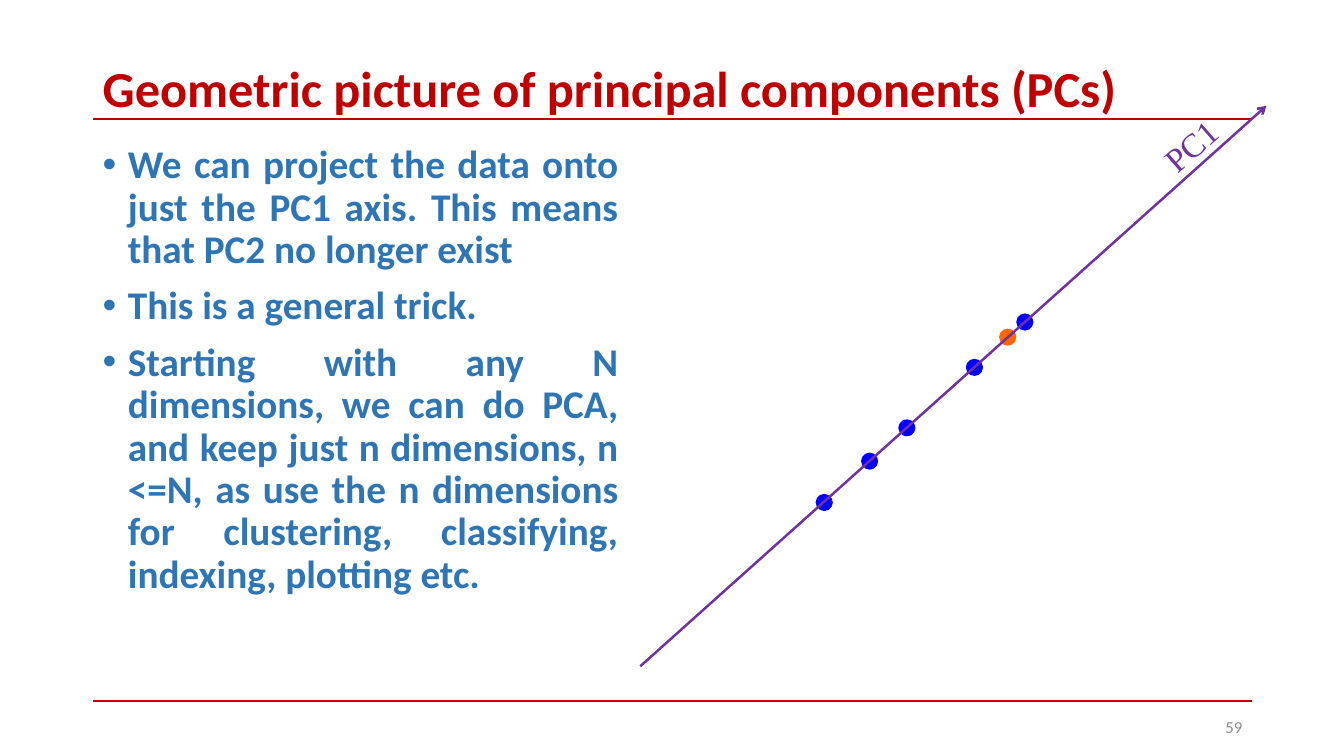
from lxml import etree
from pptx import Presentation
from pptx.dml.color import RGBColor
from pptx.enum import shapes, text
from pptx.oxml import ns
from pptx.util import Inches, Pt

RED, PURPLE, BLUE, ORANGE = "C00000", "7030A0", "0000FF", "FF6600"
BODY_BLUE, GREY = "2E75B6", "8C8C8C"
LEFT, RIGHT = 0.92, 12.42
DOT_SIZE = 0.17
PROJECTED_POINTS = [
    (9.58, 3.56, BLUE), (8.91, 4.16, BLUE), (8.54, 4.49, BLUE),
    (8.09, 4.9, BLUE), (9.91, 3.26, ORANGE), (10.08, 3.11, BLUE),
]
BULLETS = [
    "We can project the data onto just the PC1 axis. This means that PC2 no longer exist",
    "This is a general trick.",
    "Starting with any N dimensions, we can do PCA, and keep just n dimensions, "
    "n <=N, as use the n dimensions for clustering, classifying, indexing, plotting etc.",
]


def rgb(value):
    return RGBColor.from_string(value)


def add_line(slide, start, end, color, width, arrow=False):
    line = slide.shapes.add_connector(
        shapes.MSO_CONNECTOR.STRAIGHT, *map(Inches, start + end))
    line.line.color.rgb = rgb(color)
    line.line.width = Pt(width)
    if arrow:
        etree.SubElement(line.line._get_or_add_ln(), ns.qn("a:tailEnd"), type="arrow")
    etree.SubElement(line._element.spPr, ns.qn("a:effectLst"))


def add_dot(slide, left, top, color):
    dot = slide.shapes.add_shape(
        shapes.MSO_SHAPE.OVAL, *map(Inches, (left, top, DOT_SIZE, DOT_SIZE)))
    dot.shadow.inherit = False
    dot.fill.solid()
    dot.fill.fore_color.rgb = rgb(color)
    dot.line.fill.background()


def add_text(slide, box, lines, size, color, font="Calibri", bold=False,
             align=text.PP_ALIGN.LEFT, anchor=text.MSO_ANCHOR.MIDDLE,
             spacing=None, wrap=True):
    """Add a text box with one paragraph per line and return it."""
    text_box = slide.shapes.add_textbox(*map(Inches, box))
    frame = text_box.text_frame
    frame.word_wrap = wrap
    frame.vertical_anchor = anchor
    frame.text = "\n".join(lines)
    for paragraph in frame.paragraphs:
        paragraph.alignment = align
        paragraph.line_spacing = spacing
        paragraph.font.name = font
        paragraph.font.size = Pt(size)
        paragraph.font.bold = bold
        paragraph.font.color.rgb = rgb(color)
    return text_box


def add_bullets(text_box):
    """Give every paragraph a hanging bullet and space above."""
    for paragraph in text_box.text_frame.paragraphs:
        paragraph.space_before = Pt(10)
        properties = paragraph._p.get_or_add_pPr()
        properties.set("marL", str(Inches(0.25)))
        properties.set("indent", str(Inches(-0.25)))
        bullet_font = etree.Element(ns.qn("a:buFont"), typeface="Arial")
        bullet = etree.Element(ns.qn("a:buChar"), char="•")
        properties.find(ns.qn("a:defRPr")).addprevious(bullet_font)
        bullet_font.addnext(bullet)


def main():
    presentation = Presentation()
    presentation.slide_width = Inches(13.33)
    presentation.slide_height = Inches(7.5)
    slide = presentation.slides.add_slide(presentation.slide_layouts[6])

    for rule_top in (1.18, 6.95):
        add_line(slide, (LEFT, rule_top), (RIGHT, rule_top), RED, 1.5)
    for left, top, color in PROJECTED_POINTS:
        add_dot(slide, left, top, color)
    add_line(slide, (6.35, 6.61), (12.56, 1.05), PURPLE, 1.75, arrow=True)

    axis_label = add_text(slide, (11.42, 1.19, 0.78, 0.51), ["PC1"], 24, PURPLE,
                          font="Times New Roman", align=text.PP_ALIGN.CENTER,
                          anchor=text.MSO_ANCHOR.TOP, wrap=False)
    axis_label.text_frame.auto_size = text.MSO_AUTO_SIZE.SHAPE_TO_FIT_TEXT
    axis_label.rotation = 318.9

    add_text(slide, (LEFT, 0.61, 11.5, 0.58),
             ["Geometric picture of principal components (PCs)"],
             36, RED, bold=True, spacing=0.9)
    explanation = add_text(slide, (LEFT, 1.39, 5.31, 5.37), BULLETS, 28, BODY_BLUE,
                           bold=True, align=text.PP_ALIGN.JUSTIFY,
                           anchor=text.MSO_ANCHOR.TOP, spacing=0.9)
    add_bullets(explanation)
    add_text(slide, (9.42, 7.01, 3, 0.4), ["59"], 12, GREY, align=text.PP_ALIGN.RIGHT)

    presentation.save("out.pptx")


if __name__ == "__main__":
    main()
